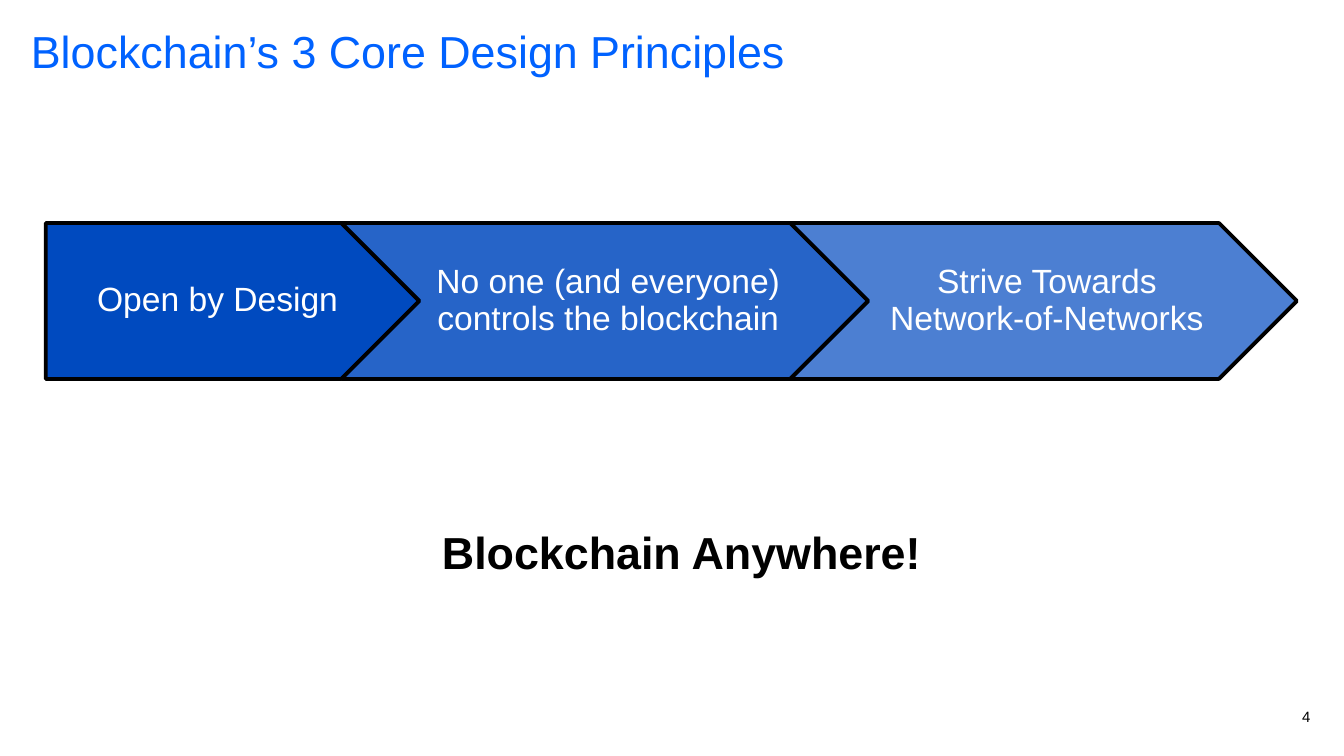
from dataclasses import dataclass

from lxml import etree
from pptx import Presentation
from pptx.dml.color import RGBColor
from pptx.enum.shapes import MSO_SHAPE
from pptx.enum.text import MSO_ANCHOR, PP_ALIGN
from pptx.oxml.ns import qn
from pptx.util import Inches, Pt

PENTAGON, CHEVRON = MSO_SHAPE.PENTAGON, MSO_SHAPE.CHEVRON
TOP, MIDDLE = MSO_ANCHOR.TOP, MSO_ANCHOR.MIDDLE
LEFT, CENTER, RIGHT = PP_ALIGN.LEFT, PP_ALIGN.CENTER, PP_ALIGN.RIGHT
TITLE_ONLY = 5


@dataclass(frozen=True)
class Theme:
    font: str = "Arial"
    title: str = "0062FF"
    step: str = "004ABF"
    ink: str = "000000"
    paper: str = "FFFFFF"
    heading_pt: int = 24
    label_pt: int = 18
    number_pt: int = 8
    outline_pt: int = 2


class Deck:
    """Draws on one slide; lengths are columns and rows of a 0.1 inch grid."""

    CELL = 0.1

    def __init__(self, theme, cols, rows):
        self.theme = theme
        self.prs = Presentation()
        self.prs.slide_width, self.prs.slide_height = self.grid(cols, rows)
        self.s = self.prs.slides.add_slide(self.prs.slide_layouts[TITLE_ONLY])

    def grid(self, *cells):
        return [Inches(c * self.CELL) for c in cells]

    def set_text(self, sp, text, size, color, align=LEFT, anchor=MIDDLE,
                 insets=(1, 0.5, 1, 0.5), spacing=None, bold=False):
        tf = sp.text_frame
        tf.word_wrap = True
        tf.vertical_anchor = anchor
        (tf.margin_left, tf.margin_top,
         tf.margin_right, tf.margin_bottom) = self.grid(*insets)
        p = tf.paragraphs[0]
        p.text = text
        p.alignment = align
        p.line_spacing = spacing
        p.font.name = self.theme.font
        p.font.size = Pt(size)
        p.font.bold = bold
        p.font.color.rgb = RGBColor.from_string(color)
        return p

    def title(self, text, box):
        sp = self.s.shapes.title
        sp.left, sp.top, sp.width, sp.height = self.grid(*box)
        self.set_text(sp, text, self.theme.heading_pt, self.theme.title,
                      anchor=TOP, insets=(0, 0, 0, 0), spacing=Pt(28))

    def step(self, kind, text, box, opacity, left_inset):
        sp = self.s.shapes.add_shape(kind, *self.grid(*box))
        sp.shadow.inherit = False
        sp.fill.solid()
        sp.fill.fore_color.rgb = RGBColor.from_string(self.theme.step)
        if opacity < 100:
            color = sp._element.spPr.find(qn("a:solidFill"))[0]
            etree.SubElement(color, qn("a:alpha"), val=str(opacity * 1000))
        sp.line.color.rgb = RGBColor.from_string(self.theme.ink)
        sp.line.width = Pt(self.theme.outline_pt)
        self.set_text(sp, text, self.theme.label_pt, self.theme.paper, CENTER,
                      insets=(left_inset, 0.5, 0.3, 0.5), spacing=0.9)

    def steps(self, items, left, top, height):
        """Chains arrows so that each one's notch takes the previous point."""
        point = height / 2
        for i, (text, width, opacity) in enumerate(items):
            kind, inset = (CHEVRON, 0.8) if i else (PENTAGON, 1)
            self.step(kind, text, (left, top, width, height), opacity, inset)
            left += width - point

    def slogan(self, text, box, indent):
        sp = self.s.shapes.add_textbox(*self.grid(*box))
        p = self.set_text(sp, text, self.theme.heading_pt, self.theme.ink,
                          spacing=Pt(16), bold=True)
        p.space_after = Pt(12)
        pPr = p._p.get_or_add_pPr()
        pPr.set("marL", str(self.grid(indent)[0]))
        pPr.set("indent", "0")

    def page_number(self, text, box):
        sp = self.s.shapes.add_textbox(*self.grid(*box))
        self.set_text(sp, text, self.theme.number_pt, self.theme.ink, RIGHT,
                      insets=(0, 0, 0, 0))


def main():
    deck = Deck(Theme(), cols=100, rows=56.25)
    deck.title("Blockchain’s 3 Core Design Principles", (2.3, 1.9, 77.6, 8.8))
    deck.steps([
        ("Open by Design", 27.8, 100),
        ("No one (and everyone) controls the blockchain", 39.2, 85),
        ("Strive Towards Network-of-Networks", 37.7, 70),
    ], left=3.4, top=16.6, height=11.6)
    deck.slogan("Blockchain Anywhere!", (28.1, 40.2, 44.5, 3.5), indent=3.8)
    deck.page_number("4", (77.5, 52.4, 20, 1.8))
    deck.prs.save("out.pptx")


if __name__ == "__main__":
    main()
